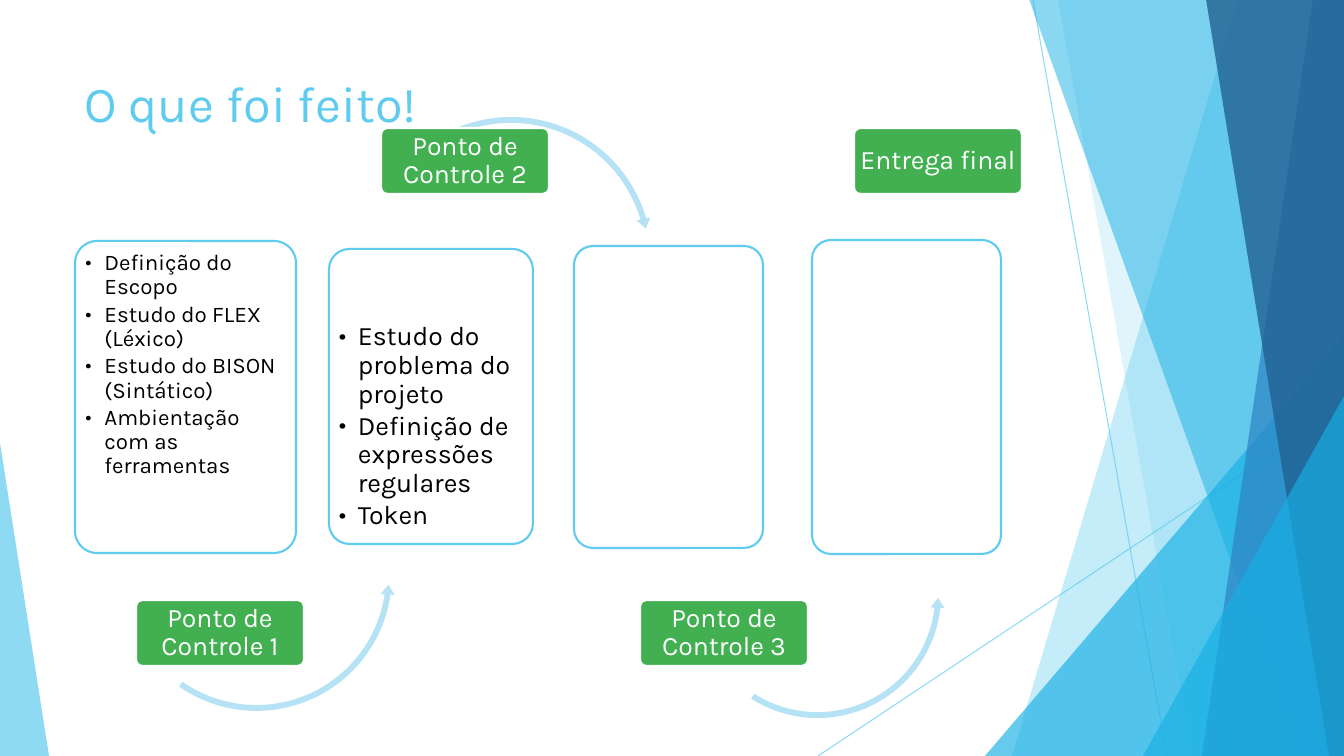
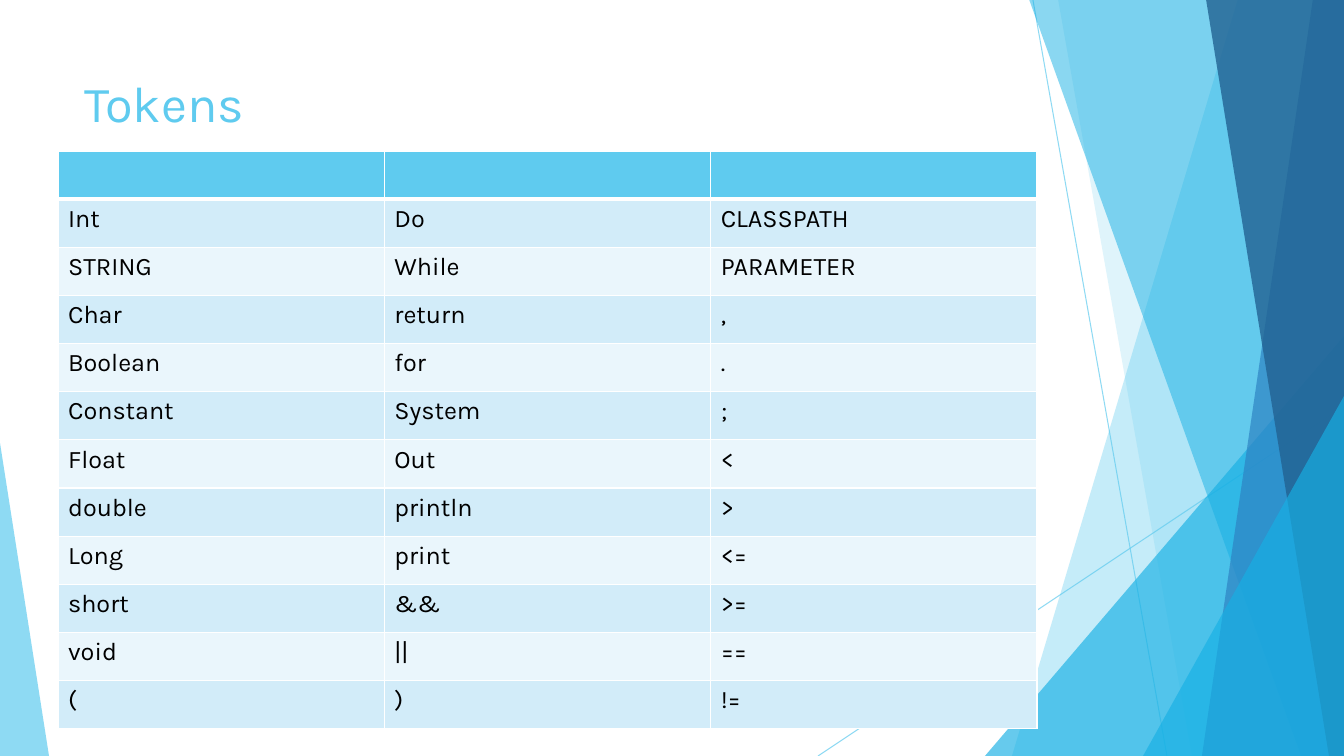
from dataclasses import dataclass

from pptx import Presentation
from pptx import util as u
from pptx.dml.color import RGBColor
from pptx.enum import shapes, text
from pptx.oxml import parse_xml
from pptx.oxml.ns import nsdecls

SCALE = 914400 / 100.8
KIND = shapes.MSO_SHAPE


@dataclass(frozen=True)
class Theme:
    """Colours, font and type sizes of the deck."""
    font: str = "Karla"
    sky: str = "5FCBEF"
    cyan: str = "17B0E4"
    blue: str = "2E83C3"
    navy: str = "226292"
    pale: str = "B6E2F6"
    green: str = "42B051"
    white: str = "FFFFFF"
    black: str = "000000"
    bands: tuple = ("EAF6FC", "D2ECF9")
    title: float = 36
    body: float = 19
    small: float = 16
    cell: float = 18


T = Theme()


def px(n):
    """Turn pixels into EMU."""
    return u.Emu(round(n * SCALE))


def rgb(hue):
    """Turn a hex string into a colour."""
    return RGBColor.from_string(hue)


def fade(shape, pct):
    """Set the opacity of the shape's first colour in percent."""
    hue = shape.element.xpath("./p:spPr//a:srgbClr")[0]
    hue.append(parse_xml(f'<a:alpha {nsdecls("a")} val="{pct * 1000}"/>'))


def paint(shape, fill, pct=100, line=None):
    """Give a shape its fill, opacity and outline, without shadow."""
    shape.shadow.inherit = False
    shape.fill.solid()
    shape.fill.fore_color.rgb = rgb(fill)
    if line:
        shape.line.color.rgb = rgb(line)
        shape.line.width = u.Pt(1.5)
    else:
        shape.line.fill.background()
    if pct < 100:
        fade(shape, pct)


def write(para, words, size, hue):
    """Add one formatted run to a paragraph."""
    run = para.add_run()
    run.text = words
    run.font.name = T.font
    run.font.size = u.Pt(size)
    run.font.color.rgb = rgb(hue)


def preset(slide, kind, box, *adjs):
    """Add a preset shape with its adjustments."""
    shape = slide.shapes.add_shape(kind, *map(px, box))
    for i, adj in enumerate(adjs):
        shape.adjustments[i] = adj
    return shape


def rule(slide, start, end):
    """Add a thin translucent line."""
    line = slide.shapes.add_connector(
        shapes.MSO_CONNECTOR.STRAIGHT, *map(px, start + end))
    line.line.color.rgb = rgb(T.sky)
    line.line.width = u.Pt(0.75)
    fade(line, 70)
    line.element.spPr.append(parse_xml(f'<a:effectLst {nsdecls("a")}/>'))


def shard(slide, top, foot, hue, pct):
    """Add a pane from a slanted left edge to the right slide edge."""
    pts = [(px(x), px(y)) for x, y in
           ((top, -1), (1344, -1), (1344, 756), (foot, 756))]
    pen = slide.shapes.build_freeform(*pts[0], scale=1.0)
    pen.add_line_segments(pts[1:], close=True)
    paint(pen.convert_to_shape(), hue, pct)


def wedge(slide, box, apex, hue, pct):
    """Add a right-angled triangle."""
    paint(preset(slide, KIND.ISOSCELES_TRIANGLE, box, apex), hue, pct)


def decor(slide, layout):
    """Draw the backdrop and move it to the shared layout."""
    for hold in list(layout.placeholders)[1:]:
        hold.element.getparent().remove(hold.element)
    rule(slide, (1033, 0), (1167, 756))
    rule(slide, (1344, 406), (818, 756))
    shard(slide, 1238, 1012, T.sky, 36)
    shard(slide, 1058, 1192, T.sky, 20)
    wedge(slide, (985, 336, 359, 420), 1, T.cyan, 66)
    shard(slide, 1029, 1301, T.cyan, 50)
    shard(slide, 1313, 1202, T.blue, 70)
    shard(slide, 1206, 1329, T.navy, 80)
    wedge(slide, (1143, 396, 201, 360), 1, T.cyan, 66)
    wedge(slide, (0, 443, 49, 313), 0, T.sky, 70)
    tree = layout.shapes.element
    parts = [s for s in slide.shapes if not s.is_placeholder]
    for spot, part in enumerate(parts, 2):
        tree.insert(spot, part.element)


def head(slide, words):
    """Place and format the title."""
    title = slide.shapes.title
    title.left, title.top, title.width, title.height = map(
        px, (74, 67, 948, 145))
    frame = title.text_frame
    frame.vertical_anchor = text.MSO_ANCHOR.TOP
    para = frame.paragraphs[0]
    para.alignment = text.PP_ALIGN.LEFT
    write(para, words, T.title, T.sky)


def block(slide, box, top):
    """Add a rounded box with tight margins and return it with its frame."""
    shape = preset(slide, KIND.ROUNDED_RECTANGLE, box, 0.1)
    frame = shape.text_frame
    frame.word_wrap = True
    frame.margin_left = frame.margin_right = frame.margin_bottom = px(4)
    frame.margin_top = px(top)
    return shape, frame


def card(slide, box, items=(), size=T.body, top=4):
    """Add an outlined card with a bullet list."""
    shape, frame = block(slide, box, top)
    paint(shape, T.white, 90, T.sky)
    frame.vertical_anchor = text.MSO_ANCHOR.TOP
    for i, item in enumerate(items):
        para = frame.add_paragraph() if i else frame.paragraphs[0]
        para.alignment = text.PP_ALIGN.LEFT
        para.line_spacing = 0.9
        para.space_after = u.Pt(2.3)
        props = para._p.get_or_add_pPr()
        props.set("marL", str(px(19)))
        props.set("indent", str(px(-19)))
        for mark in (f'buFont {nsdecls("a")} typeface="{T.font}"',
                     f'buChar {nsdecls("a")} char="•"'):
            props.append(parse_xml(f"<a:{mark}/>"))
        write(para, item, size, T.black)


def label(slide, left, top, words):
    """Add a green milestone label."""
    shape, frame = block(slide, (left, top, 168, 66), 3)
    paint(shape, T.green, line=T.white)
    frame.margin_left = frame.margin_right = frame.margin_bottom = px(3)
    frame.vertical_anchor = text.MSO_ANCHOR.MIDDLE
    para = frame.paragraphs[0]
    para.alignment = text.PP_ALIGN.CENTER
    para.line_spacing = 0.9
    write(para, words, T.body, T.white)


def swoop(slide, kind, box, turn, band, adjs):
    """Add a turned circular arrow; band and tip widths are in percent."""
    thick, tip = band
    arrow = preset(slide, kind, box, thick / 100, *adjs, tip / 100)
    arrow.rotation = turn
    paint(arrow, T.pale)


def edges(cell, deep):
    """Draw the white borders of a cell, thicker on the deep side."""
    props = cell._tc.get_or_add_tcPr()
    for spot, side in enumerate("LRTB"):
        width = u.Pt(3 if side == deep else 1)
        props.insert(spot, parse_xml(
            f'<a:ln{side} {nsdecls("a")} w="{width}"><a:solidFill>'
            f'<a:srgbClr val="{T.white}"/></a:solidFill></a:ln{side}>'))


def grid(slide, box, rows):
    """Add a banded table under an empty header row."""
    table = slide.shapes.add_table(
        len(rows) + 1, len(rows[0]), *map(px, box)).table
    table.horz_banding = False
    for r, row in enumerate([[""] * len(rows[0])] + rows):
        for c, words in enumerate(row):
            cell = table.cell(r, c)
            cell.fill.solid()
            cell.fill.fore_color.rgb = rgb(T.bands[r % 2] if r else T.sky)
            edges(cell, {0: "B", 1: "T"}.get(r))
            if words:
                write(cell.text_frame.paragraphs[0], words, T.cell, T.black)


def steps(slide):
    """Build the timeline slide."""
    left, right = KIND.LEFT_CIRCULAR_ARROW, KIND.CIRCULAR_ARROW
    head(slide, "O que foi feito!")
    card(slide, (75, 241, 221, 312),
         ["Definição do Escopo", "Estudo do FLEX (Léxico)",
          "Estudo do BISON (Sintático)", "Ambientação com as ferramentas"],
         T.small)
    swoop(slide, left, (117, 436, 279, 279), 17.1, (2.1, 2.5),
          (2.53, 210.69, 64.65))
    label(slide, 136, 600, "Ponto de Controle 1")
    card(slide, (329, 249, 204, 295),
         ["Estudo do problema do projeto",
          "Definição de expressões regulares", "Token"], top=68)
    swoop(slide, right, (366, 113, 290, 290), 336.8, (2, 2.4),
          (2.43, 4.11, 150.05))
    label(slide, 381, 128, "Ponto de Controle 2")
    card(slide, (574, 246, 189, 302))
    swoop(slide, left, (690, 467, 255, 255), 20, (2.3, 2.7),
          (2.78, 207.76, 61.48))
    label(slide, 640, 600, "Ponto de Controle 3")
    card(slide, (812, 240, 189, 314))
    label(slide, 854, 128, "Entrega final")


def tokens(slide):
    """Build the token table slide."""
    head(slide, "Tokens")
    cols = ["Int STRING Char Boolean Constant Float double Long short void (",
            "Do While return for System Out println print && || )",
            "CLASSPATH PARAMETER , . ; < > <= >= == !="]
    rows = [list(row) for row in zip(*(col.split() for col in cols))]
    grid(slide, (58, 151, 979, 578), rows)


def main():
    """Build and save the deck."""
    deck = Presentation()
    deck.slide_width, deck.slide_height = px(1344), px(756)
    layout = deck.slide_layouts.get_by_name("Title Only")
    pages = [deck.slides.add_slide(layout) for _ in range(2)]
    decor(pages[0], layout)
    steps(pages[0])
    tokens(pages[1])
    deck.save("out.pptx")


main()
